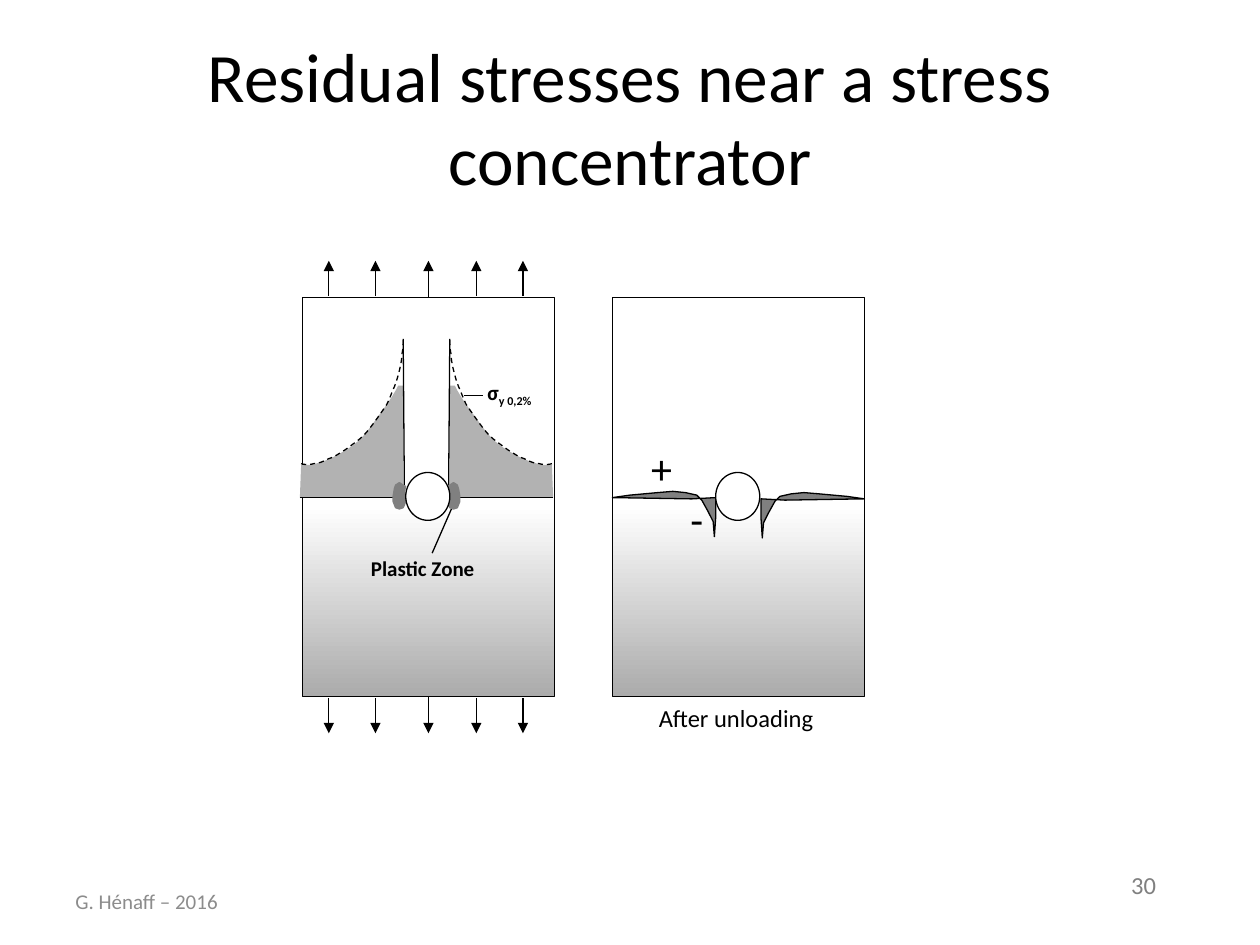
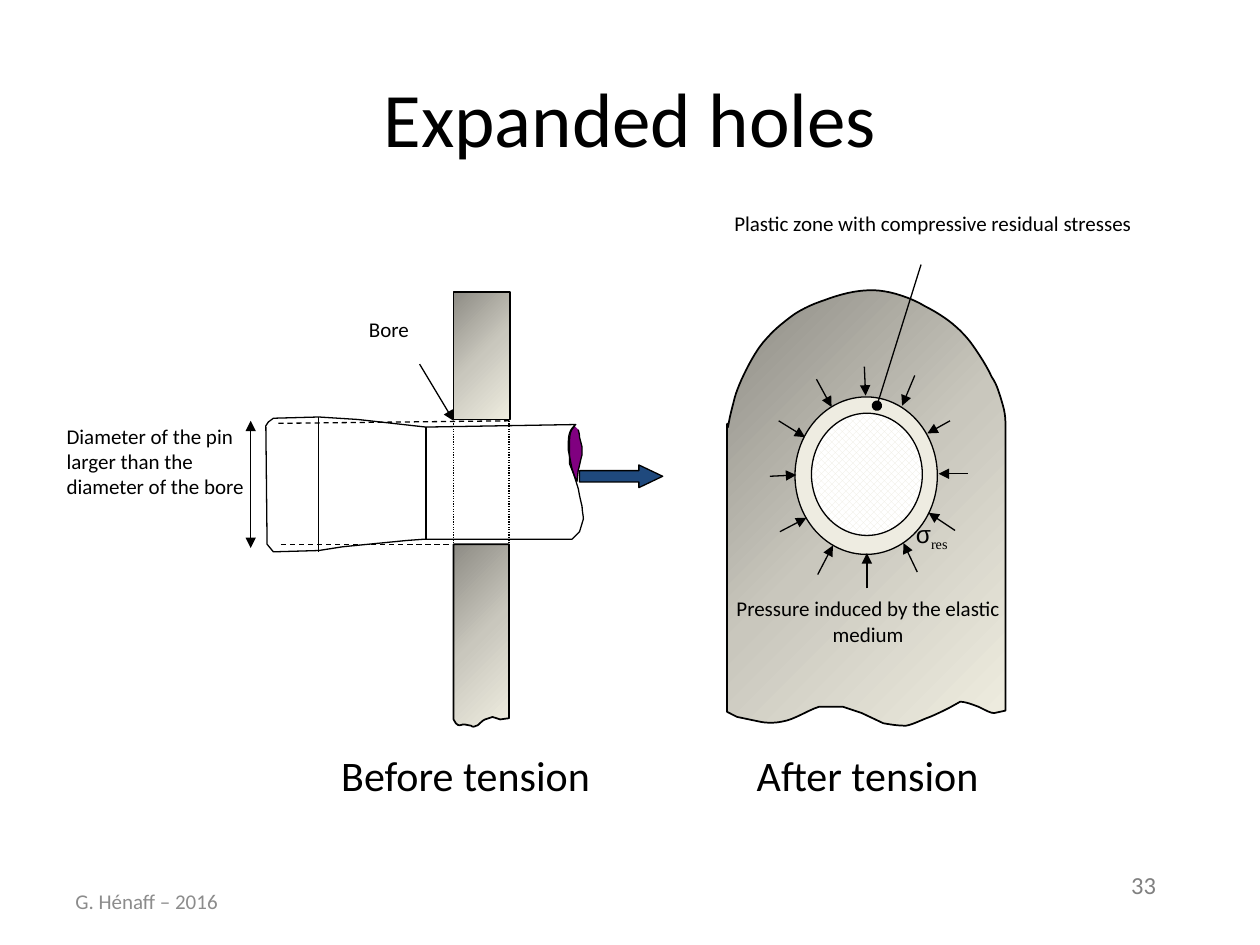
from dataclasses import dataclass
from typing import NamedTuple, Optional, Union

from lxml.etree import SubElement
from pptx import Presentation
from pptx.dml.color import RGBColor
from pptx.enum.dml import MSO_LINE
from pptx.enum.shapes import MSO_CONNECTOR, MSO_SHAPE
from pptx.enum.text import MSO_ANCHOR, PP_ALIGN
from pptx.oxml.ns import qn
from pptx.util import Inches, Pt


class Box(NamedTuple):
    left: float
    top: float
    width: float
    height: float


class Gradient(NamedTuple):
    stops: tuple  # (percent, colour)
    angle: int  # counter-clockwise degrees


class Pattern(NamedTuple):
    preset: str
    fore: str
    back: str


@dataclass(frozen=True)
class Theme:
    font: str = "Calibri"
    black: str = "000000"
    white: str = "FFFFFF"
    page_grey: str = "808080"
    footer_grey: str = "8C8C8C"
    stress: str = "B2B2B2"
    plastic: str = "808080"
    ring: str = "EEECE1"
    pin_end: str = "800080"
    pull: str = "1F497D"
    plate: Gradient = Gradient(((0, "ABABAB"), (48, "FFFFFF"), (100, "FFFFFF")), 90)
    metal: Gradient = Gradient(((0, "8E8C85"), (50, "C9C7BD"), (100, "EFEDE0")), 315)
    hole: Pattern = Pattern("openDmnd", "EEECE1", "FFFFFF")
    title: float = 44
    long_title: float = 39.6
    caption: float = 24
    note: float = 14
    label: float = 12
    thin: float = 0.75
    outline: float = 1


T = Theme()
Fill = Union[str, Gradient, Pattern, None]
Point = tuple[float, float]
Path = list[tuple]  # (x, y) is a straight step, six numbers are a cubic curve
CURVE_STEPS = 6


# Drawing helpers
def inches(values) -> list:
    return [Inches(v) for v in values]


def stroke(line, colour: str, width: float, dash=None) -> None:
    line.color.rgb = RGBColor.from_string(colour)
    line.width = Pt(width)
    if dash is not None:
        line.dash_style = dash


def paint(sp, fill: Fill, line: Optional[str], width: float, dash=None) -> None:
    sp.shadow.inherit = False
    if fill is None:
        sp.fill.background()
    elif isinstance(fill, Gradient):
        sp.fill.gradient()
        sp.fill.gradient_angle = fill.angle
        stops = sp._element.xpath(".//a:gsLst")[0]
        for old in list(stops):
            stops.remove(old)
        for percent, colour in fill.stops:
            gs = SubElement(stops, qn("a:gs"), pos=str(percent * 1000))
            SubElement(gs, qn("a:srgbClr"), val=colour)
    elif isinstance(fill, Pattern):
        sp.fill.patterned()
        sp.fill.fore_color.rgb = RGBColor.from_string(fill.fore)
        sp.fill.back_color.rgb = RGBColor.from_string(fill.back)
        sp._element.xpath(".//a:pattFill")[0].set("prst", fill.preset)
    else:
        sp.fill.solid()
        sp.fill.fore_color.rgb = RGBColor.from_string(fill)
    if line is None:
        sp.line.fill.background()
    else:
        stroke(sp.line, line, width, dash)


def shape(s, kind: MSO_SHAPE, box: Box, fill: Fill, width: float = T.thin):
    sp = s.shapes.add_shape(kind, *inches(box))
    paint(sp, fill, T.black, width)
    return sp


def outline(s, path: Path, fill: Fill = None, line: Optional[str] = T.black,
            width: float = T.thin, dash=None, close: bool = True) -> None:
    points = [path[0]]
    for step in path[1:]:
        if len(step) == 2:
            points.append(step)
            continue
        (x0, y0), (x1, y1, x2, y2, x3, y3) = points[-1], step
        for i in range(1, CURVE_STEPS + 1):
            t = i / CURVE_STEPS
            u = 1 - t
            a, b, c, d = u ** 3, 3 * u * u * t, 3 * u * t * t, t ** 3
            points.append((a * x0 + b * x1 + c * x2 + d * x3, a * y0 + b * y1 + c * y2 + d * y3))
    start, *rest = [tuple(inches(p)) for p in points]
    builder = s.shapes.build_freeform(*start, scale=1.0)
    builder.add_line_segments(rest, close=close)
    paint(builder.convert_to_shape(), fill, line, width, dash)


def connect(s, start: Point, end: Point, dash=None, head: str = "", tail: str = ""):
    c = s.shapes.add_connector(MSO_CONNECTOR.STRAIGHT, *inches(start + end))
    stroke(c.line, T.black, T.thin, dash)
    ln = c._element.xpath("./p:spPr/a:ln")[0]
    for tag, kind in (("a:headEnd", head), ("a:tailEnd", tail)):
        if kind:
            SubElement(ln, qn(tag), type=kind)
    SubElement(c._element.spPr, qn("a:effectLst"))
    return c


def text(s, box: Box, content: str, *, size: float = T.label, color: str = T.black, font: str = T.font,
         bold: bool = False, align=PP_ALIGN.LEFT, anchor=MSO_ANCHOR.TOP, wrap: bool = False,
         sub: str = "", sub_font: str = T.font) -> None:
    tf = s.shapes.add_textbox(*inches(box)).text_frame
    tf.word_wrap = wrap
    tf.vertical_anchor = anchor
    p = tf.paragraphs[0]
    p.alignment = align
    for part, face in ((content, font), (sub, sub_font)):
        if part:
            r = p.add_run()
            r.text = part
            r.font.name, r.font.size, r.font.bold = face, Pt(size), bold
            r.font.color.rgb = RGBColor.from_string(color)
    if sub:
        r._r.get_or_add_rPr().set("baseline", "-25000")


def flip(path: Path, axis: Optional[float], dy: float = 0) -> Path:
    """Mirror a path left to right; axis is the sum of matching x values."""
    if axis is None:
        return path
    return [tuple(v + dy if i % 2 else axis - v for i, v in enumerate(step)) for step in path]


def new_slide(prs, title: str, number: str, title_size: float = T.title):
    s = prs.slides.add_slide(prs.slide_layouts[6])
    text(s, Box(8.88, 6.86, 0.53, 0.34), number, size=T.note, color=T.page_grey)
    text(s, Box(0.5, 0.3, 9, 1.25), title, size=title_size, wrap=True,
         align=PP_ALIGN.CENTER, anchor=MSO_ANCHOR.MIDDLE)
    text(s, Box(0.5, 6.95, 2.33, 0.4), "G. Hénaff – 2016", color=T.footer_grey,
         wrap=True, anchor=MSO_ANCHOR.MIDDLE)
    return s


# Outlines of the stress diagrams (left half)
STRESS_AREA: Path = [
    (2.38, 3.95), (2.39, 3.69), (2.47, 3.69), (2.51, 3.68, 2.58, 3.66, 2.64, 3.63),
    (2.7, 3.6, 2.77, 3.56, 2.82, 3.52), (2.87, 3.48, 2.9, 3.44, 2.94, 3.39), (3.07, 3.21),
    (3.11, 3.15), (3.14, 3.1), (3.16, 3.06), (3.2, 3.06), (3.2, 3.95)]
STRESS_CURVE: Path = [
    (2.39, 3.68), (2.42, 3.69, 2.46, 3.69, 2.49, 3.68), (2.53, 3.68, 2.57, 3.66, 2.61, 3.64),
    (2.65, 3.63, 2.69, 3.6, 2.74, 3.57), (2.79, 3.53, 2.86, 3.49, 2.91, 3.43),
    (2.96, 3.37, 3.03, 3.27, 3.07, 3.21), (3.1, 3.15, 3.11, 3.11, 3.13, 3.07),
    (3.15, 3.02, 3.16, 2.98, 3.17, 2.94), (3.18, 2.9, 3.19, 2.85, 3.19, 2.81),
    (3.2, 2.77, 3.2, 2.73, 3.2, 2.69)]
PLASTIC_ZONE: Path = [
    (3.21, 3.94), (3.21, 3.9), (3.22, 3.86), (3.2, 3.85), (3.17, 3.83), (3.14, 3.85), (3.13, 3.88),
    (3.12, 3.94), (3.12, 3.98), (3.14, 4.03), (3.17, 4.04), (3.2, 4.03), (3.21, 4.01), (3.22, 3.98)]
RESIDUAL: Path = [
    (4.86, 3.95), (5, 3.93), (5.22, 3.91), (5.34, 3.9), (5.44, 3.91), (5.53, 3.93), (5.57, 3.97),
    (5.62, 4.06), (5.66, 4.14), (5.67, 4.26), (5.68, 4.11), (5.68, 3.95), (5.49, 3.96)]

# Outlines of the expanded hole
LUG: Path = [
    (5.77, 5.65), (5.77, 3.57), (5.77, 3.2, 5.77, 3.45, 5.78, 3.38), (5.79, 3.31, 5.81, 3.24, 5.83, 3.16),
    (5.85, 3.09, 5.88, 3.02, 5.92, 2.94), (5.96, 2.86, 6.02, 2.75, 6.09, 2.68),
    (6.15, 2.61, 6.24, 2.54, 6.31, 2.49), (6.39, 2.44, 6.46, 2.41, 6.55, 2.38),
    (6.63, 2.35, 6.73, 2.32, 6.82, 2.31), (6.9, 2.3, 6.97, 2.3, 7.06, 2.32),
    (7.15, 2.34, 7.26, 2.38, 7.34, 2.43), (7.42, 2.47, 7.5, 2.52, 7.56, 2.57),
    (7.62, 2.62, 7.67, 2.67, 7.72, 2.74), (7.77, 2.81, 7.84, 2.92, 7.87, 2.99),
    (7.91, 3.05, 7.92, 3.09, 7.94, 3.15), (7.96, 3.22, 7.98, 3.27, 7.98, 3.36), (7.98, 5.64), (7.89, 5.66),
    (7.85, 5.66, 7.78, 5.61, 7.74, 5.6), (7.69, 5.58, 7.65, 5.57, 7.62, 5.57), (7.53, 5.62),
    (7.49, 5.64, 7.43, 5.67, 7.38, 5.69), (7.32, 5.71, 7.25, 5.75, 7.19, 5.76),
    (7.13, 5.76, 7.06, 5.75, 7.01, 5.74), (6.84, 5.66), (6.69, 5.61), (6.5, 5.61),
    (6.43, 5.63, 6.32, 5.7, 6.24, 5.72), (6.16, 5.74, 6.1, 5.74, 6.04, 5.73), (5.85, 5.69)]
LOWER_WALL: Path = [
    (3.6, 4.32), (4.04, 4.32), (4.04, 5.7), (3.97, 5.71), (3.91, 5.69), (3.85, 5.71),
    (3.82, 5.72, 3.8, 5.76, 3.78, 5.76), (3.76, 5.77, 3.75, 5.77, 3.74, 5.76), (3.69, 5.75),
    (3.66, 5.74, 3.64, 5.79, 3.6, 5.71)]
PIN_END: Path = [
    (4.56, 3.38), (4.56, 3.39, 4.54, 3.4, 4.53, 3.43), (4.52, 3.46, 4.52, 3.5, 4.52, 3.54),
    (4.52, 3.59, 4.52, 3.64, 4.52, 3.68), (4.56, 3.78), (4.58, 3.82), (4.59, 3.73),
    (4.6, 3.7, 4.61, 3.64, 4.62, 3.61), (4.62, 3.55), (4.6, 3.47), (4.6, 3.44, 4.59, 3.42, 4.59, 3.41)]
PIN: Path = [
    (2.12, 4.32), (2.11, 3.38), (2.13, 3.35), (2.17, 3.32), (2.53, 3.31), (2.84, 3.33), (3.38, 3.39),
    (4.57, 3.37), (4.57, 3.37, 4.53, 3.4, 4.52, 3.44), (4.51, 3.47, 4.51, 3.52, 4.51, 3.57),
    (4.52, 3.62, 4.53, 3.67, 4.54, 3.72), (4.59, 3.88), (4.6, 3.94, 4.61, 3.98, 4.62, 4.02),
    (4.62, 4.06, 4.63, 4.09, 4.63, 4.12), (4.6, 4.22), (4.54, 4.28), (3.37, 4.28), (3.23, 4.29),
    (2.72, 4.34), (2.53, 4.37), (2.17, 4.38)]
PRESSURE_ARROWS: list[tuple[Point, Point]] = [
    ((6.48, 3.01), (6.6, 3.23)), ((6.86, 2.91), (6.87, 3.14)), ((7.26, 2.98), (7.16, 3.22)),
    ((7.54, 3.34), (7.36, 3.44)), ((7.68, 3.76), (7.45, 3.76)), ((7.58, 4.21), (7.37, 4.07)),
    ((7.28, 4.54), (7.17, 4.31)), ((6.88, 4.67), (6.88, 4.39)), ((6.49, 4.56), (6.61, 4.33)),
    ((6.19, 4.22), (6.4, 4.11)), ((6.11, 3.78), (6.32, 3.77)), ((6.18, 3.34), (6.39, 3.47))]


def residual_stresses(prs) -> None:
    s = new_slide(prs, "Residual stresses near a stress concentrator", "30", T.long_title)
    for x in (4.86, 2.4):
        loaded = shape(s, MSO_SHAPE.RECTANGLE, Box(x, 2.36, 2, 3.17), T.plate)

    # Remote load, the middle arrows joined to the plate
    for x in (2.61, 2.98, 3.4, 3.78, 4.15):
        for side, y, tip in ((0, 2.35, 2.07), (2, 5.54, 5.82)):
            c = connect(s, (x, y), (x, tip), tail="triangle")
            if x == 3.4:
                c.begin_connect(loaded, side)

    # Stress on both sides of the loaded hole
    connect(s, (3.6, 4), (3.43, 4.39))
    text(s, Box(2.45, 4.36, 1.81, 0.3), "Plastic Zone", bold=True, wrap=True, align=PP_ALIGN.CENTER)
    for axis in (None, 6.77):
        outline(s, flip(STRESS_AREA, axis), T.stress, None)
        connect(s, *flip([(3.2, 2.69), (3.21, 3.96)], axis))
        connect(s, *flip([(2.38, 3.95), (3.2, 3.95)], axis))
        outline(s, flip(STRESS_CURVE, axis), dash=MSO_LINE.DASH, close=False)
        outline(s, flip(PLASTIC_ZONE, axis), T.plastic, T.plastic)
    text(s, Box(3.77, 2.96, 0.62, 0.3), "σ", sub="y 0,2%", bold=True)
    connect(s, (3.68, 3.14), (3.83, 3.14))

    # Residual stress after unloading, and the two holes
    for axis in (None, 11.72):
        outline(s, flip(RESIDUAL, axis, 0.01), T.plastic)
    for x in (3.22, 5.68):
        shape(s, MSO_SHAPE.OVAL, Box(x, 3.75, 0.35, 0.38), T.white)
    text(s, Box(5.07, 3.46, 0.37, 0.5), "+", size=T.caption)
    text(s, Box(5.38, 3.87, 0.31, 0.5), "-", size=T.caption)
    text(s, Box(5.13, 5.53, 1.45, 0.34), "After unloading", size=T.note)


def expanded_holes(prs) -> None:
    s = new_slide(prs, "Expanded holes", "33")
    # Lug after tension
    outline(s, LUG, T.metal, width=T.outline)
    shape(s, MSO_SHAPE.OVAL, Box(6.31, 3.15, 1.13, 1.25), T.ring)
    for start, end in PRESSURE_ARROWS:
        connect(s, start, end, tail="triangle")
    # Wall and bore
    shape(s, MSO_SHAPE.RECTANGLE, Box(3.6, 2.32, 0.45, 1.01), T.metal, T.outline)
    outline(s, LOWER_WALL, T.metal, width=T.outline)
    connect(s, (2.21, 3.36), (4.05, 3.34), MSO_LINE.DASH)
    connect(s, (2.23, 4.32), (4.04, 4.32), MSO_LINE.DASH)
    connect(s, (1.99, 4.35), (1.99, 3.34), head="triangle", tail="triangle")
    for x in (3.6, 4.04):
        connect(s, (x, 3.34), (x, 4.32), MSO_LINE.ROUND_DOT)
    # Pin and pull direction
    outline(s, PIN_END, T.pin_end, close=False)
    outline(s, PIN)
    connect(s, (2.53, 4.38), (2.53, 3.31))
    connect(s, (3.38, 4.28), (3.38, 3.39))
    pull = shape(s, MSO_SHAPE.RIGHT_ARROW, Box(4.6, 3.69, 0.66, 0.18), T.pull)
    pull.adjustments[1] = 1.05
    shape(s, MSO_SHAPE.OVAL, Box(6.44, 3.28, 0.88, 0.97), T.hole)
    # Labels and leaders
    text(s, Box(2.83, 2.46, 0.59, 0.35), "Bore")
    connect(s, (3.33, 2.89), (3.6, 3.34), tail="triangle")
    text(s, Box(0.43, 3.31, 1.67, 1.04), "Diameter of the pin larger than the diameter of the bore", wrap=True)
    text(s, Box(7.17, 4.07, 0.52, 0.38), "σ", size=T.note, font="Arial", sub="res", sub_font="Times New Roman")
    text(s, Box(5.7, 4.68, 2.38, 0.58), "Pressure induced by the elastic medium", wrap=True, align=PP_ALIGN.CENTER)
    text(s, Box(5.73, 1.62, 3.77, 0.35), "Plastic zone with compressive residual stresses", wrap=True)
    connect(s, (7.31, 2.1), (6.96, 3.22), tail="oval")
    text(s, Box(2.61, 5.9, 2.44, 0.58), "Before tension", size=T.caption)
    text(s, Box(5.79, 5.9, 2.19, 0.58), "After tension", size=T.caption, align=PP_ALIGN.CENTER)


prs = Presentation()
prs.slide_width, prs.slide_height = Inches(10), Inches(7.5)
residual_stresses(prs)
expanded_holes(prs)
prs.save("out.pptx")
